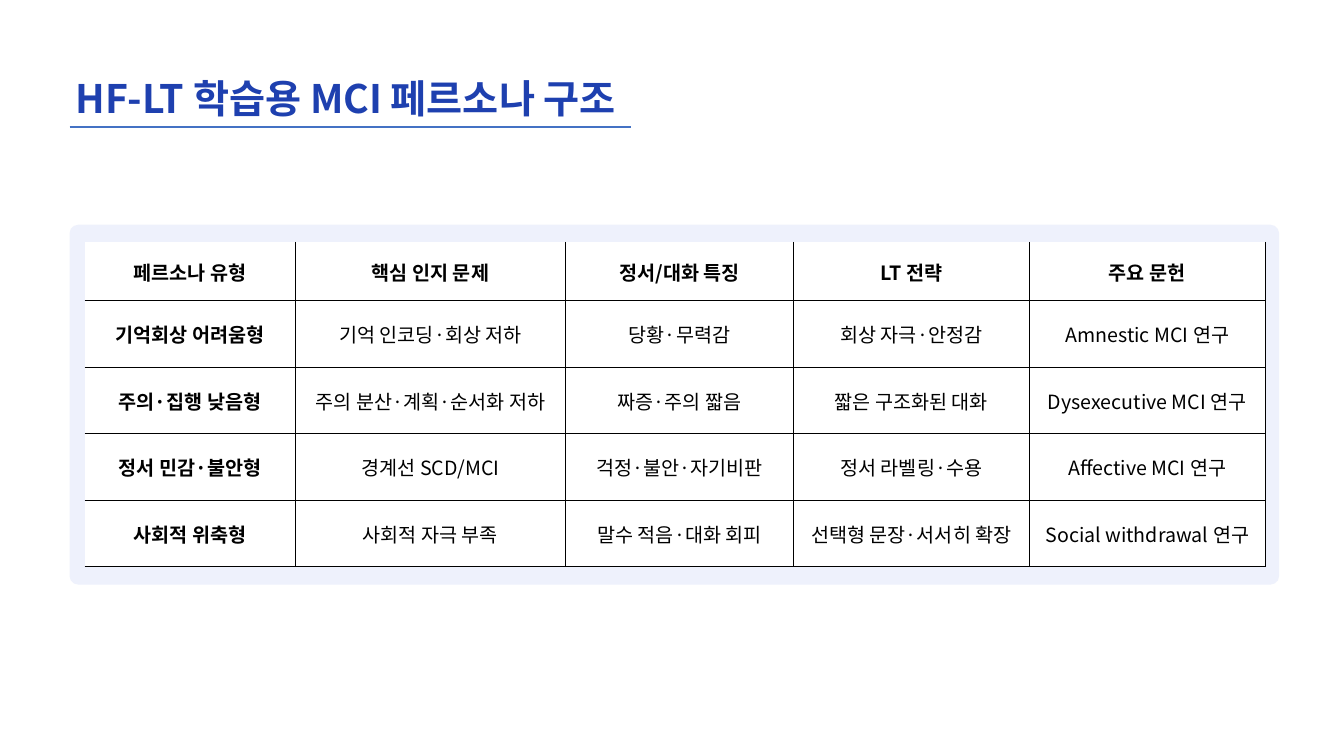
import pptx
import pptx.dml.color
import pptx.enum.shapes
import pptx.enum.text
import pptx.oxml
import pptx.oxml.ns
import pptx.util
from lxml import etree

FONT = "Noto Sans CJK KR"
WIDTH, HEIGHT = 13.33, 7.5
LEFT = 0.69  # shared left edge of the panel and the title rule
COLUMNS = [2.09, 2.68, 2.26, 2.34, 2.34]
HEADER_ROW, BODY_ROW = 0.58, 0.66
PERSONAS = [
    ["페르소나 유형", "핵심 인지 문제", "정서/대화 특징", "LT 전략", "주요 문헌"],
    ["기억회상 어려움형", "기억 인코딩·회상 저하", "당황·무력감",
     "회상 자극·안정감", "Amnestic MCI 연구"],
    ["주의·집행 낮음형", "주의 분산·계획·순서화 저하", "짜증·주의 짧음",
     "짧은 구조화된 대화", "Dysexecutive MCI 연구"],
    ["정서 민감·불안형", "경계선 SCD/MCI", "걱정·불안·자기비판",
     "정서 라벨링·수용", "Affective MCI 연구"],
    ["사회적 위축형", "사회적 자극 부족", "말수 적음·대화 회피",
     "선택형 문장·서서히 확장", "Social withdrawal 연구"],
]


def rgb(color):
    return pptx.dml.color.RGBColor.from_string(color)


def inches(*lengths):
    return [pptx.util.Inches(length) for length in lengths]


def set_all(obj, values):
    for name, value in values.items():
        setattr(obj, name, value)


def write(tf, text, size, color, bold):
    p = tf.paragraphs[0]
    r = p.add_run()
    r.text = text
    set_all(r.font, {"name": FONT, "size": pptx.util.Pt(size), "bold": bold})
    r.font.color.rgb = rgb(color)
    # Korean glyphs take the East Asian typeface
    ea = etree.SubElement(r.font._element, pptx.oxml.ns.qn("a:ea"))
    ea.set("typeface", FONT)
    return p


def add_panel(s, box, color):
    sp = s.shapes.add_shape(
        pptx.enum.shapes.MSO_SHAPE.ROUNDED_RECTANGLE, *inches(*box))
    sp.adjustments[0] = 0.024
    sp.shadow.inherit = False
    sp.fill.solid()
    sp.fill.fore_color.rgb = rgb(color)
    sp.line.fill.background()


def add_title(s, text, box):
    tf = s.shapes.add_textbox(*inches(*box)).text_frame
    set_all(tf, {"word_wrap": True,
                 "auto_size": pptx.enum.text.MSO_AUTO_SIZE.SHAPE_TO_FIT_TEXT})
    write(tf, text, 28, "1E40AF", True)


def add_rule(s, left, right, top):
    line = s.shapes.add_connector(
        pptx.enum.shapes.MSO_CONNECTOR.STRAIGHT, *inches(left, top, right, top))
    line.line.color.rgb = rgb("4472C4")
    line.line.width = pptx.util.Pt(1.5)
    etree.SubElement(line._element.spPr, pptx.oxml.ns.qn("a:effectLst"))


def add_border(cell, side, points):
    tc_pr = cell._tc.get_or_add_tcPr()
    fill = ('<a:solidFill><a:srgbClr val="000000"/></a:solidFill>'
            if points else "<a:noFill/>")
    tc_pr.append(pptx.oxml.parse_xml(
        f'<a:ln{side} {pptx.oxml.ns.nsdecls("a")} '
        f'w="{pptx.util.Pt(points)}">{fill}</a:ln{side}>'))


def fill_cell(cell, text, row, column):
    borders = {
        "L": 0.25 if column else 0,
        "R": 0.25,
        "T": (0, 1)[row] if row < 2 else 0.25,
        "B": 0.25 if row else 1,
    }
    for side, points in borders.items():
        add_border(cell, side, points)
    cell.fill.solid()
    cell.fill.fore_color.rgb = rgb("FFFFFF")
    inset = pptx.util.Inches(0.01)
    set_all(cell, {"margin_left": inset, "margin_right": inset,
                   "margin_top": inset, "margin_bottom": 0,
                   "vertical_anchor": pptx.enum.text.MSO_ANCHOR.MIDDLE})
    p = write(cell.text_frame, text, 14, "000000", row == 0 or column == 0)
    p.alignment = pptx.enum.text.PP_ALIGN.CENTER


def add_persona_table(s, left, top, rows):
    heights = [HEADER_ROW] + [BODY_ROW] * (len(rows) - 1)
    table = s.shapes.add_table(
        len(rows), len(COLUMNS),
        *inches(left, top, sum(COLUMNS), sum(heights))).table
    set_all(table, {"first_row": False, "horz_banding": False})
    for column, width in zip(table.columns, COLUMNS):
        column.width = pptx.util.Inches(width)
    for i, (height, texts) in enumerate(zip(heights, rows)):
        table.rows[i].height = pptx.util.Inches(height)
        for j, text in enumerate(texts):
            fill_cell(table.cell(i, j), text, i, j)


def main():
    prs = pptx.Presentation()
    prs.slide_width, prs.slide_height = inches(WIDTH, HEIGHT)
    s = prs.slides.add_slide(prs.slide_layouts[6])

    # Panel behind the table
    add_panel(s, (LEFT, 2.23, 0.9 * WIDTH, 3.57), "EEF1FC")

    # Title and its rule
    add_title(s, "HF-LT 학습용 MCI 페르소나 구조", (0.65, 0.69, 5.94, 0.57))
    add_rule(s, LEFT, 6.26, 1.26)

    # Persona table, inset within the panel
    add_persona_table(s, LEFT + 0.15, 2.4, PERSONAS)

    prs.save("out.pptx")


if __name__ == "__main__":
    main()
